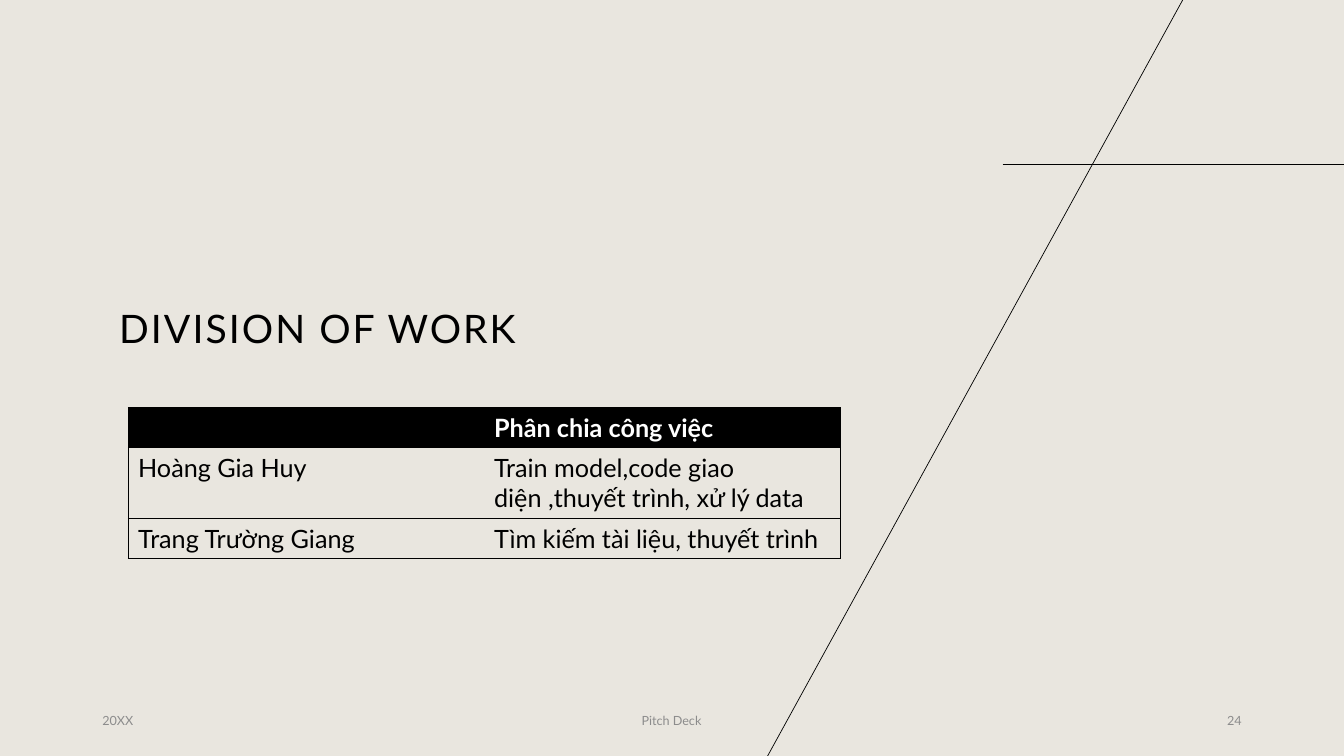
from lxml import etree
from pptx import Presentation
from pptx.dml.color import RGBColor
from pptx.enum.shapes import MSO_CONNECTOR as CONN
from pptx.enum.text import MSO_ANCHOR as ANCHOR, PP_ALIGN as ALIGN
from pptx.oxml.ns import qn
from pptx.util import Pt

PX = 9525
W, H = 1280, 720
BLACK, WHITE, GREY, PAPER = "000000", "FFFFFF", "8C8C8C", "E9E6DF"
ROWS = [
    ("", "Phân chia công việc"),
    ("Hoàng Gia Huy", "Train model,code giao diện ,thuyết trình, xử lý data"),
    ("Trang Trường Giang", "Tìm kiếm tài liệu, thuyết trình"),
]


def emu(*lengths):
    return [n * PX for n in lengths]


def rgb(color):
    return RGBColor.from_string(color)


def write(p, text, color, **fmt):
    r = p.add_run()
    r.text = text
    r.font.color.rgb = rgb(color)
    for name, value in {"name": "Lato", **fmt}.items():
        setattr(r.font, name, value)
    return r


def add_text(s, box, text, color, size, anchor, align=ALIGN.LEFT):
    tf = s.shapes.add_textbox(*emu(*box)).text_frame
    tf.word_wrap = True
    tf.vertical_anchor = anchor
    p = tf.paragraphs[0]
    p.alignment = align
    return p, write(p, text, color, size=Pt(size))


def add_lines(s, box):
    x, y, w, h = box
    ends = [(x + 955, y + 157, x + w, y + 157), (x + 1128, y - 3, x + 730, y + h + 2)]
    for line_ends in ends:
        line = s.shapes.add_connector(CONN.STRAIGHT, *emu(*line_ends))
        line.line.color.rgb = rgb(BLACK)
        line.line.width = Pt(0.5)
        etree.SubElement(line._element.spPr, qn("a:effectLst"))


def add_title(s, box):
    p, r = add_text(s, box, "DIVISION OF WORK", BLACK, 28, ANCHOR.BOTTOM)
    p.line_spacing = 0.9
    r._r.get_or_add_rPr().set("spc", "150")


def add_footer(s, box):
    x, y, w, h = box
    parts = [
        ("20XX", x, 288, ALIGN.LEFT),
        ("Pitch Deck", x + 460, 183, ALIGN.CENTER),
        ("24", x + w - 288, 288, ALIGN.RIGHT),
    ]
    for text, left, width, align in parts:
        add_text(s, (left, y, width, h), text, GREY, 9, ANCHOR.MIDDLE, align)


def set_borders(cell, inner):
    tcPr = cell._tc.get_or_add_tcPr()
    for side in "LRTB":
        ln = etree.SubElement(tcPr, qn(f"a:ln{side}"), w=str(Pt(0.5)))
        if side == inner:
            etree.SubElement(ln, qn("a:noFill"))
        else:
            fill = etree.SubElement(ln, qn("a:solidFill"))
            etree.SubElement(fill, qn("a:srgbClr"), val=BLACK)


def add_work_table(s, box):
    table = s.shapes.add_table(len(ROWS), 2, *emu(*box)).table
    table.horz_banding = False
    for row, height in zip(table.rows, emu(38, 67, 38)):
        row.height = height
    for i, texts in enumerate(ROWS):
        header = i == 0
        for j, text in enumerate(texts):
            cell = table.cell(i, j)
            set_borders(cell, "RL"[j])
            if header:
                cell.fill.solid()
                cell.fill.fore_color.rgb = rgb(BLACK)
            else:
                cell.fill.background()
            if text:
                color = WHITE if header else BLACK
                write(cell.text_frame.paragraphs[0], text, color, size=Pt(18), bold=header)


def main():
    prs = Presentation()
    prs.slide_width, prs.slide_height = emu(W, H)
    s = prs.slides.add_slide(prs.slide_layouts[6])
    s.background.fill.solid()
    s.background.fill.fore_color.rgb = rgb(PAPER)
    add_lines(s, (0, 0, W, H))
    add_title(s, (104, 213, 537, 127))
    add_footer(s, (88, 667, 1104, 38))
    add_work_table(s, (122, 388, 678, 143))
    prs.save("out.pptx")


if __name__ == "__main__":
    main()
